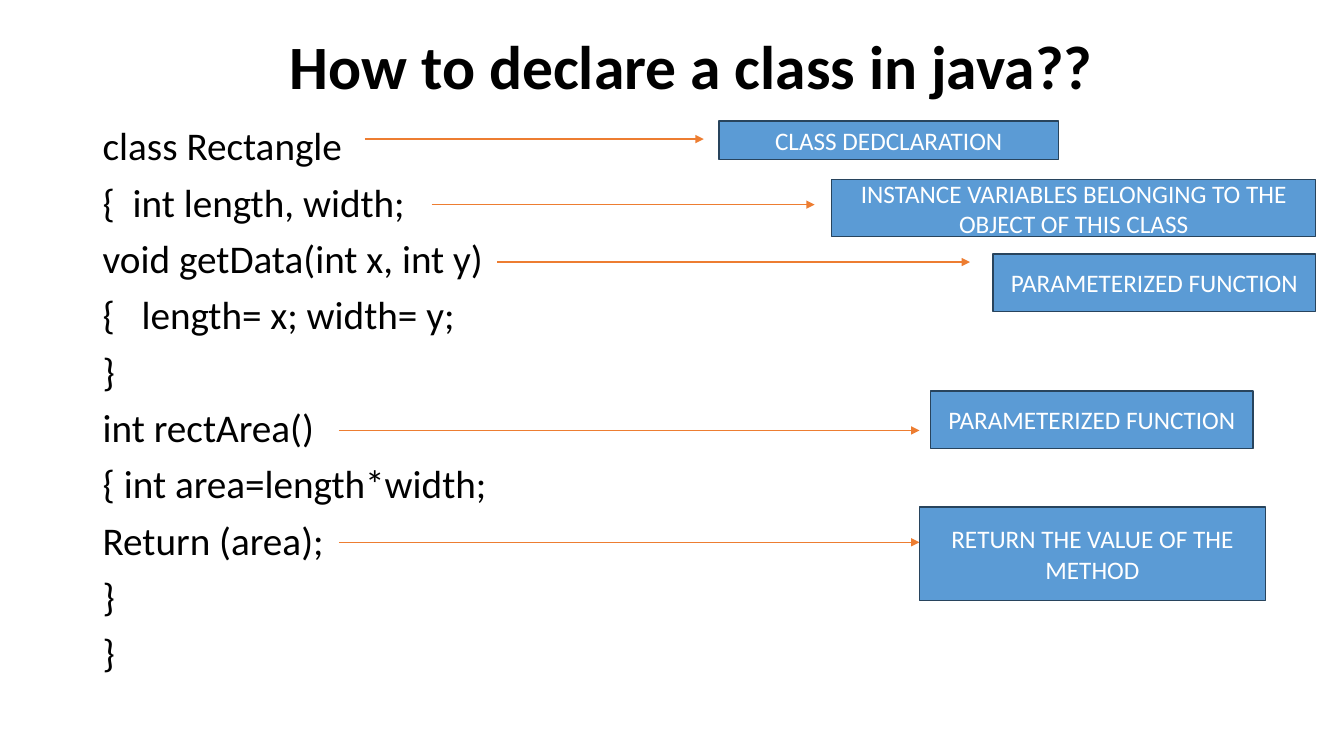
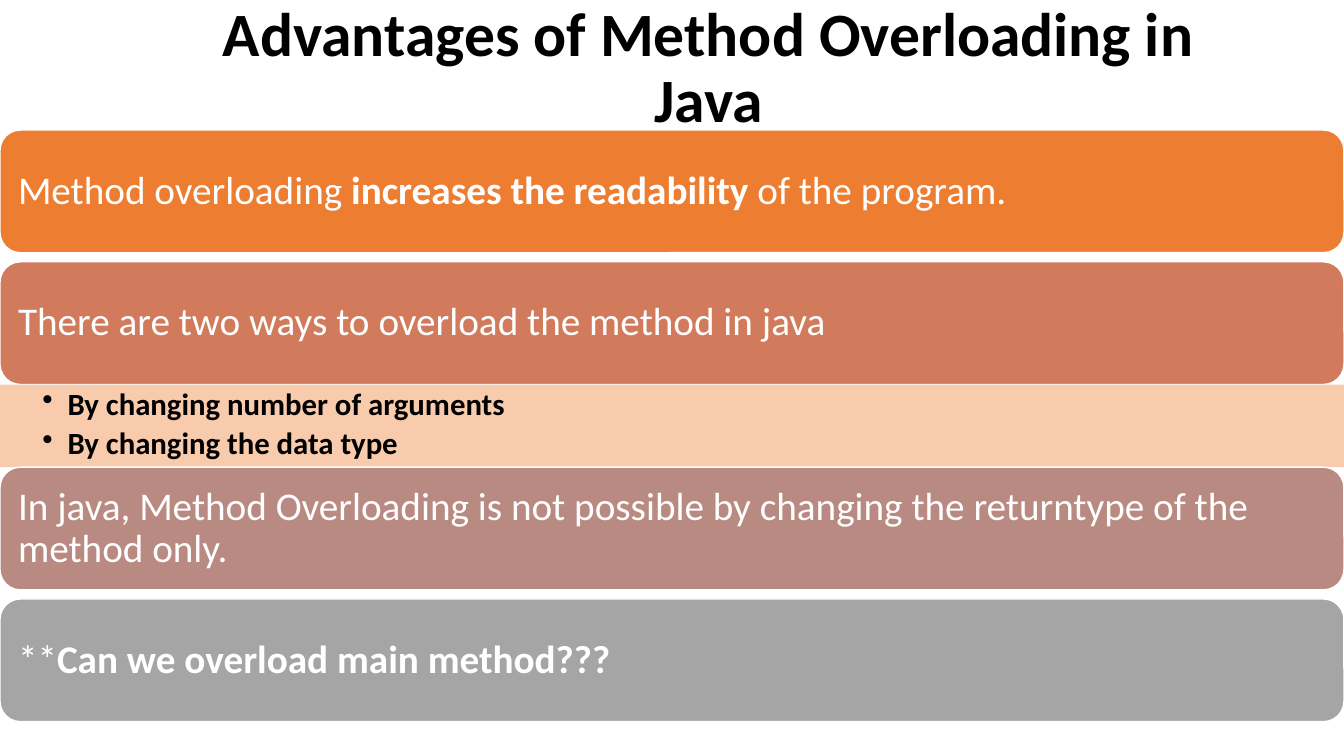
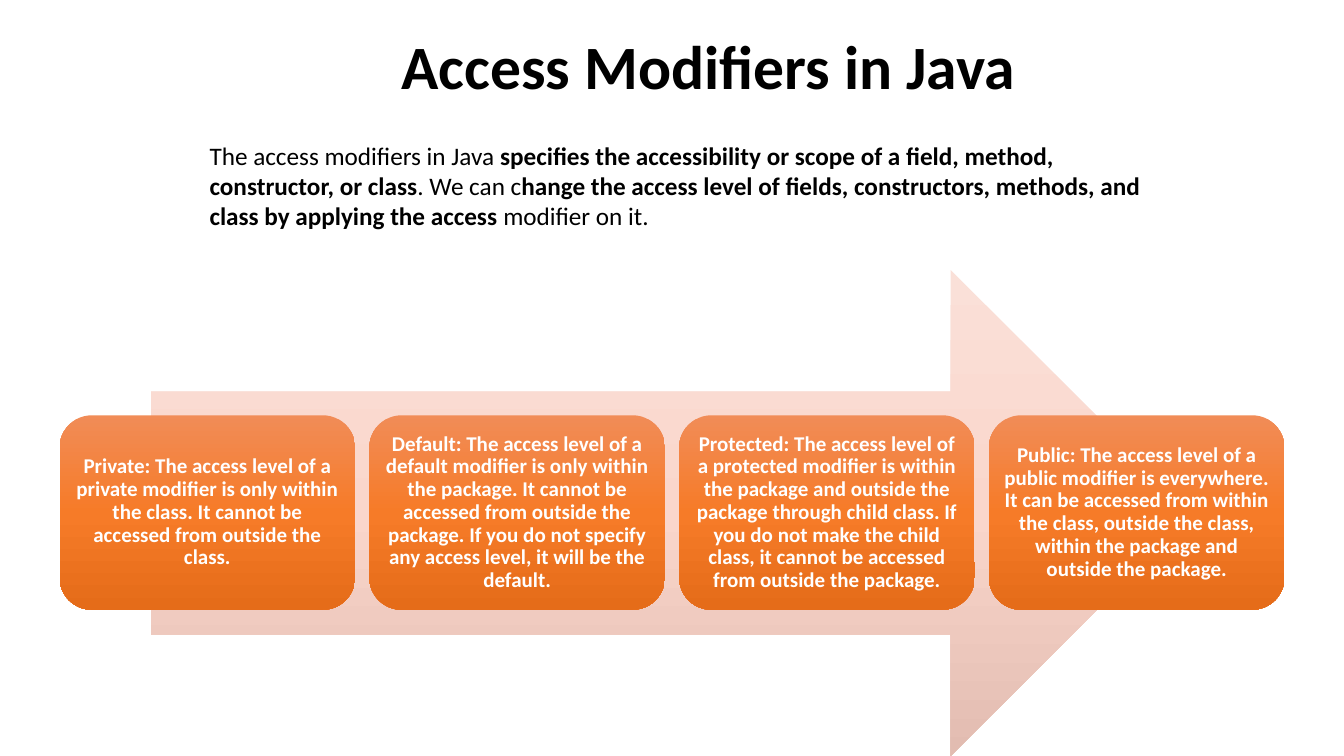
import copy

import pptx
import pptx.dml.color
import pptx.enum.shapes
import pptx.enum.text
import pptx.oxml.ns
import pptx.util
from lxml import etree

Inches = pptx.util.Inches
Pt = pptx.util.Pt
RGBColor = pptx.dml.color.RGBColor
SHAPE = pptx.enum.shapes.MSO_SHAPE
ALIGN = pptx.enum.text.PP_ALIGN
ANCHOR = pptx.enum.text.MSO_ANCHOR
qn = pptx.oxml.ns.qn

FONT = "Calibri"
BLACK = RGBColor(0x00, 0x00, 0x00)
WHITE = RGBColor(0xFF, 0xFF, 0xFF)
BLUE = RGBColor(0x5B, 0x9B, 0xD5)
NAVY = RGBColor(0x28, 0x44, 0x5D)
ORANGE = RGBColor(0xED, 0x7D, 0x31)
TERRACOTTA = RGBColor(0xD1, 0x7B, 0x5C)
ROSE = RGBColor(0xB9, 0x8A, 0x82)
GREY = RGBColor(0xA5, 0xA5, 0xA5)
PEACH = RGBColor(0xF8, 0xCB, 0xAD)
ARROW_GRADIENT = (RGBColor(0xFA, 0xE0, 0xD8), RGBColor(0xFA, 0xD6, 0xCB),
                  RGBColor(0xE2, 0xBC, 0xB1))
CARD_GRADIENT = (RGBColor(0xF1, 0x8C, 0x57), RGBColor(0xF6, 0x7B, 0x28),
                 RGBColor(0xE5, 0x6C, 0x19))

CODE = (
    "class Rectangle",
    "{  int length, width;",
    "void getData(int x, int y)",
    "{   length= x; width= y;",
    "}",
    "int rectArea()",
    "{ int area=length*width;",
    "Return (area);",
    "}",
    "}",
)
CALLOUTS = (
    ("CLASS DEDCLARATION", (7.13, 1.2, 3.37, 0.38), (3.62, 6.98, 1.38)),
    ("INSTANCE VARIABLES BELONGING TO THE OBJECT OF THIS CLASS",
     (8.25, 1.78, 4.8, 0.57), (4.28, 8.08, 2.03)),
    ("PARAMETERIZED FUNCTION", (9.85, 2.52, 3.2, 0.57), (4.93, 9.62, 2.6)),
    ("PARAMETERIZED FUNCTION", (9.23, 3.88, 3.2, 0.57), (3.36, 9.12, 4.27)),
    ("RETURN THE VALUE OF THE METHOD", (9.12, 5.03, 3.43, 0.93), (3.36, 9.12, 5.38)),
)
ADVANTAGES = (
    (ORANGE, (("Method overloading ", False), ("increases the readability ", True),
              ("of the program.", False)), ()),
    (TERRACOTTA, (("There are two ways to overload the method in java", False),),
     ("By changing number of arguments", "By changing the data type")),
    (ROSE, (("In java, Method Overloading is not possible by changing the "
             "returntype of the method only.", False),), ()),
    (GREY, (("**", False), ("Can we overload main method???", True)), ()),
)
MODIFIER_INTRO = (
    ("The access modifiers in Java ", False),
    ("specifies the accessibility or scope of a field, method, constructor, or class", True),
    (". We can c", False),
    ("hange the access level of fields, constructors, methods, and class by "
     "applying the access ", True),
    ("modifier on it.", False),
)
MODIFIERS = (
    "Private: The access level of a private modifier is only within the class. "
    "It cannot be accessed from outside the class.",
    "Default: The access level of a default modifier is only within the package. "
    "It cannot be accessed from outside the package. If you do not specify any "
    "access level, it will be the default.",
    "Protected: The access level of a protected modifier is within the package and "
    "outside the package through child class. If you do not make the child class, "
    "it cannot be accessed from outside the package.",
    "Public: The access level of a public modifier is everywhere. It can be accessed "
    "from within the class, outside the class, within the package and outside the package.",
)


def lengths(box):
    """Turn numbers in inches into lengths."""
    return [Inches(n) for n in box]


def add_runs(p, runs, size, color):
    """Add (text, bold) runs to a paragraph."""
    for text, bold in runs:
        r = p.add_run()
        r.text = text
        r.font.name = FONT
        r.font.size = Pt(size)
        r.font.bold = bold
        r.font.color.rgb = color


def fill_text(sp, paragraphs, size, color, align=ALIGN.LEFT, anchor=ANCHOR.MIDDLE,
              margins=(0.1, 0.05, 0.1, 0.05), spacing=0.9, before=0, after=0):
    """Write paragraphs of runs into a shape and return its text frame."""
    tf = sp.text_frame
    tf.auto_size = pptx.enum.text.MSO_AUTO_SIZE.NONE
    tf.word_wrap = True
    tf.vertical_anchor = anchor
    tf.margin_left, tf.margin_top, tf.margin_right, tf.margin_bottom = lengths(margins)
    for i, runs in enumerate(paragraphs):
        p = tf.add_paragraph() if i else tf.paragraphs[0]
        p.alignment = align
        p.line_spacing = spacing
        p.space_before = Pt(before if i else 0)
        p.space_after = Pt(after)
        add_runs(p, runs, size, color)
    return tf


def add_box(s, kind, box, fill=None, line=None):
    """Add a flat preset shape with an optional solid fill and outline."""
    sp = s.shapes.add_shape(kind, *lengths(box))
    sp.shadow.inherit = False
    if fill is not None:
        sp.fill.solid()
        sp.fill.fore_color.rgb = fill
    if line is None:
        sp.line.fill.background()
    else:
        sp.line.color.rgb = line
        sp.line.width = Pt(1)
    return sp


def add_gradient_box(s, kind, box, colors):
    """Add a shape with a three-colour gradient from top to bottom."""
    sp = add_box(s, kind, box)
    sp.fill.gradient()
    sp.fill.gradient_angle = 270
    stops = sp._element.spPr.find(".//" + qn("a:gsLst"))
    stops.insert(1, copy.deepcopy(stops[0]))
    for stop, position, color in zip(sp.fill.gradient_stops, (0, 0.5, 1), colors):
        stop.position = position
        stop.color.rgb = color
    return sp


def add_arrow(s, left, right, y):
    """Add a horizontal arrow pointing right."""
    arrow = s.shapes.add_connector(pptx.enum.shapes.MSO_CONNECTOR.STRAIGHT,
                                   *lengths((left, y, right, y)))
    arrow.line.color.rgb = ORANGE
    arrow.line.width = Pt(1)
    etree.SubElement(arrow.line._get_or_add_ln(), qn("a:tailEnd"), type="triangle")
    etree.SubElement(arrow._element.spPr, qn("a:effectLst"))


def add_bullet(p):
    """Give a paragraph a hanging round bullet."""
    pPr = p._p.get_or_add_pPr()
    pPr.set("marL", str(Inches(0.25)))
    pPr.set("indent", str(-Inches(0.25)))
    etree.SubElement(pPr, qn("a:buChar"), char="•")


def add_titled_slide(prs, title, box=(1.53, 0.18, 11, 1.02)):
    """Add a title-only slide with the shared title style."""
    s = prs.slides.add_slide(prs.slide_layouts[5])
    sp = s.shapes.title
    sp.left, sp.top, sp.width, sp.height = lengths(box)
    fill_text(sp, [[(title, True)]], 44, BLACK, ALIGN.CENTER)
    return s


def add_code(s, box):
    """Add the code listing."""
    sp = s.shapes.add_textbox(*lengths(box))
    fill_text(sp, [[(line, False)] for line in CODE], 28, BLACK,
              anchor=ANCHOR.TOP, before=10)


def add_callout(s, text, box, arrow):
    """Add a labelled box and the arrow that leads to it."""
    add_arrow(s, *arrow)
    sp = add_box(s, SHAPE.RECTANGLE, box, BLUE, NAVY)
    fill_text(sp, [[(text, False)]], 18, WHITE, ALIGN.CENTER, spacing=1)


def add_advantages(s, box):
    """Stack the advantage bands, each followed by its list or a gap."""
    left, top, width, height = box
    list_height, gap = 0.82, 0.09
    band_height = (height - list_height - 2 * gap) / len(ADVANTAGES)
    for color, runs, items in ADVANTAGES:
        sp = add_box(s, SHAPE.ROUNDED_RECTANGLE, (left, top, width, band_height),
                     color, WHITE)
        fill_text(sp, [runs], 28, WHITE, margins=(0.12,) * 4)
        top += band_height
        if items:
            sp = add_box(s, SHAPE.RECTANGLE, (left, top, width, list_height), PEACH)
            tf = fill_text(sp, [[(item, True)] for item in items], 22, BLACK,
                           anchor=ANCHOR.TOP, margins=(0.42, 0.04, 0.22, 0.04), after=4.4)
            for p in tf.paragraphs:
                add_bullet(p)
            top += list_height
        else:
            top += gap


def add_modifier_cards(s, box):
    """Spread the modifier cards evenly over the box."""
    left, top, width, height = box
    gap = 0.14
    card_width = (width - gap * (len(MODIFIERS) - 1)) / len(MODIFIERS)
    for i, text in enumerate(MODIFIERS):
        sp = add_gradient_box(s, SHAPE.ROUNDED_RECTANGLE,
                              (left + i * (card_width + gap), top, card_width, height),
                              CARD_GRADIENT)
        fill_text(sp, [[(text, True)]], 15, WHITE, ALIGN.CENTER, margins=(0.06,) * 4)


def add_class_slide(prs):
    """Build the slide on declaring a class."""
    s = add_titled_slide(prs, "How to declare a class in java??", (1.35, 0.18, 11.02, 1.02))
    add_code(s, (0.92, 1.21, 4.89, 5.55))
    for callout in CALLOUTS:
        add_callout(s, *callout)


def add_overloading_slide(prs):
    """Build the slide on method overloading."""
    s = add_titled_slide(prs, "Advantages of Method Overloading in Java")
    add_advantages(s, (0, 1.29, 13.33, 5.87))


def add_modifiers_slide(prs):
    """Build the slide on access modifiers."""
    s = add_titled_slide(prs, "Access Modifiers in Java")
    add_gradient_box(s, SHAPE.RIGHT_ARROW, (1.5, 2.68, 10.34, 4.82), ARROW_GRADIENT)
    add_modifier_cards(s, (0.59, 4.12, 12.15, 1.93))
    sp = s.shapes.add_textbox(*lengths((1.98, 1.34, 9.69, 1.01)))
    fill_text(sp, [MODIFIER_INTRO], 18, BLACK, anchor=ANCHOR.TOP, spacing=1)


def main():
    """Build and save the presentation."""
    prs = pptx.Presentation()
    prs.slide_width, prs.slide_height = lengths((13.33, 7.5))
    add_class_slide(prs)
    add_overloading_slide(prs)
    add_modifiers_slide(prs)
    prs.save("out.pptx")


if __name__ == "__main__":
    main()
